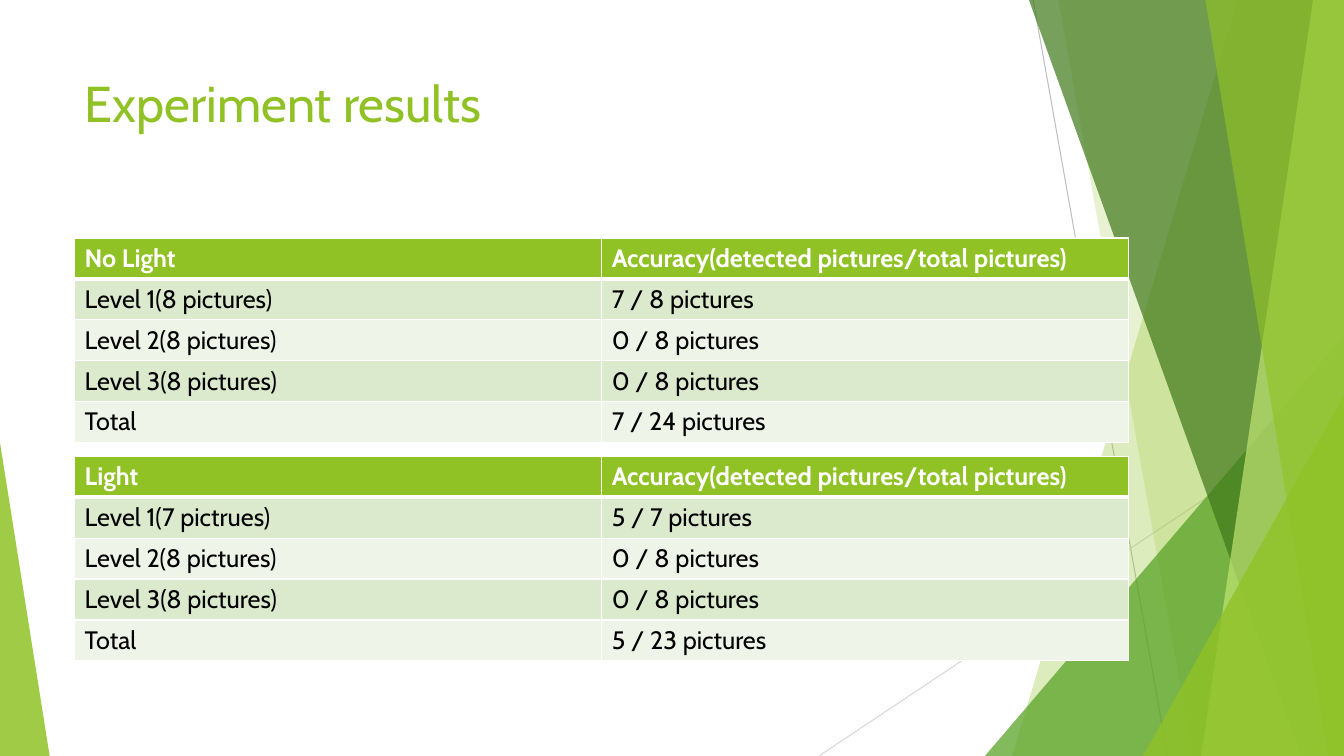
from lxml import etree
from pptx import Presentation
from pptx.dml.color import RGBColor
from pptx.enum.shapes import MSO_CONNECTOR, MSO_SHAPE
from pptx.enum.text import MSO_ANCHOR, PP_ALIGN
from pptx.oxml.ns import qn
from pptx.util import Pt

LINE = MSO_CONNECTOR.STRAIGHT
TRIANGLE = MSO_SHAPE.ISOSCELES_TRIANGLE
TOP = MSO_ANCHOR.TOP
LEFT = PP_ALIGN.LEFT

WIDE, HIGH = 960, 540
FONT = "Cabin"
COLORS = {
    "lime": "90C226", "green": "54A021", "dark": "3F7819", "pale": "C0E474",
    "grey": "BFBFBF", "light": "D9D9D9", "white": "FFFFFF", "black": "000000",
    "odd": "DBE9CD", "even": "EEF4E8",
}
HEAD = "Accuracy(detected pictures/total pictures)"


class Deck:
    def __init__(self):
        self.prs = Presentation()
        self.prs.slide_width, self.prs.slide_height = Pt(WIDE), Pt(HIGH)
        self.slide = self.prs.slides.add_slide(self.prs.slide_layouts[5])
        self.shapes = self.slide.shapes

    def color(self, name):
        return RGBColor.from_string(COLORS[name])

    def text(self, para, words, size, color, bold=False):
        para.alignment = LEFT
        run = para.add_run()
        run.text = words
        font = run.font
        font.name, font.size, font.bold = FONT, Pt(size), bold
        font.color.rgb = self.color(color)

    def paint(self, shape, color, alpha):
        """Fill a shape without outline; alpha is its opacity in percent."""
        shape.shadow.inherit = False
        shape.line.fill.background()
        shape.fill.solid()
        shape.fill.fore_color.rgb = self.color(color)
        tone = shape._element.spPr.find(qn("a:solidFill"))[0]
        etree.SubElement(tone, qn("a:alpha"), val=str(alpha * 1000))

    def title(self, words, left, top, width, height):
        box = self.shapes.title
        box.left, box.top = Pt(left), Pt(top)
        box.width, box.height = Pt(width), Pt(height)
        frame = box.text_frame
        frame.word_wrap = True
        frame.vertical_anchor = TOP
        self.text(frame.paragraphs[0], words, 36, "lime")

    def line(self, x1, y1, x2, y2, color):
        line = self.shapes.add_connector(LINE, Pt(x1), Pt(y1), Pt(x2), Pt(y2))
        line.line.color.rgb = self.color(color)
        line.line.width = Pt(0.75)
        etree.SubElement(line._element.spPr, qn("a:effectLst"))

    def band(self, top, foot, color, alpha):
        """Fill from a slanted edge, top x to foot x, to the right slide side."""
        form = self.shapes.build_freeform(Pt(top), Pt(0), scale=1.0)
        edge = [(WIDE, 0), (WIDE, HIGH), (foot, HIGH)]
        form.add_line_segments([(Pt(x), Pt(y)) for x, y in edge], close=True)
        self.paint(form.convert_to_shape(), color, alpha)

    def wedge(self, left, top, width, peak, color, alpha):
        """Stand a triangle on the slide's foot; peak is 0 left to 1 right."""
        shape = self.shapes.add_shape(
            TRIANGLE, Pt(left), Pt(top), Pt(width), Pt(HIGH - top))
        shape.adjustments[0] = peak
        self.paint(shape, color, alpha)

    def border(self, cell, widths):
        """Draw white edges; widths run left, right, top, bottom."""
        props = cell._tc.get_or_add_tcPr()
        for side, width in zip("LRTB", widths):
            edge = etree.SubElement(props, qn("a:ln" + side), w=str(Pt(width)))
            fill = etree.SubElement(edge, qn("a:solidFill"))
            etree.SubElement(fill, qn("a:srgbClr"), val=COLORS["white"])

    def table(self, rows, left, top, width, step):
        frame = self.shapes.add_table(
            len(rows), 2, Pt(left), Pt(top), Pt(width), Pt(step * len(rows)))
        grid = frame.table
        for col in grid.columns:
            col.width = Pt(width / 2)
        for i, row in enumerate(rows):
            grid.rows[i].height = Pt(step)
            fill = "odd" if i % 2 else "even"
            for j, words in enumerate(row):
                cell = grid.cell(i, j)
                self.border(cell, (1, 1, 3 if i == 1 else 1, 1 if i else 3))
                cell.fill.solid()
                cell.fill.fore_color.rgb = self.color(fill if i else "lime")
                self.text(cell.text_frame.paragraphs[0], words, 18,
                          "black" if i else "white", i == 0)


def main():
    deck = Deck()
    deck.line(738, 0, 834, HIGH, "grey")
    deck.line(WIDE, 290, 585, HIGH, "light")
    deck.band(884, 723, "lime", 30)
    deck.band(756, 852, "lime", 20)
    deck.wedge(703.5, 240, 256.5, 1, "green", 72)
    deck.band(735, 929.5, "dark", 70)
    deck.band(938, 858, "pale", 70)
    deck.band(861, 949, "lime", 65)
    deck.wedge(816.5, 283, 143.5, 1, "lime", 80)
    deck.wedge(0, 316, 35.5, 0, "lime", 85)
    deck.title("Experiment results", 53.3, 48, 677, 104)

    dark = [
        ("No Light", HEAD),
        ("Level 1(8 pictures)", "7 / 8 pictures"),
        ("Level 2(8 pictures)", "0 / 8 pictures"),
        ("Level 3(8 pictures)", "0 / 8 pictures"),
        ("Total", "7 / 24 pictures"),
    ]
    lit = [
        ("Light", HEAD),
        ("Level 1(7 pictrues)", "5 / 7 pictures"),
        ("Level 2(8 pictures)", "0 / 8 pictures"),
        ("Level 3(8 pictures)", "0 / 8 pictures"),
        ("Total", "5 / 23 pictures"),
    ]
    for rows, top in ((dark, 170), (lit, 326)):
        deck.table(rows, 53.3, top, 753, 29.2)
    deck.prs.save("out.pptx")


if __name__ == "__main__":
    main()
